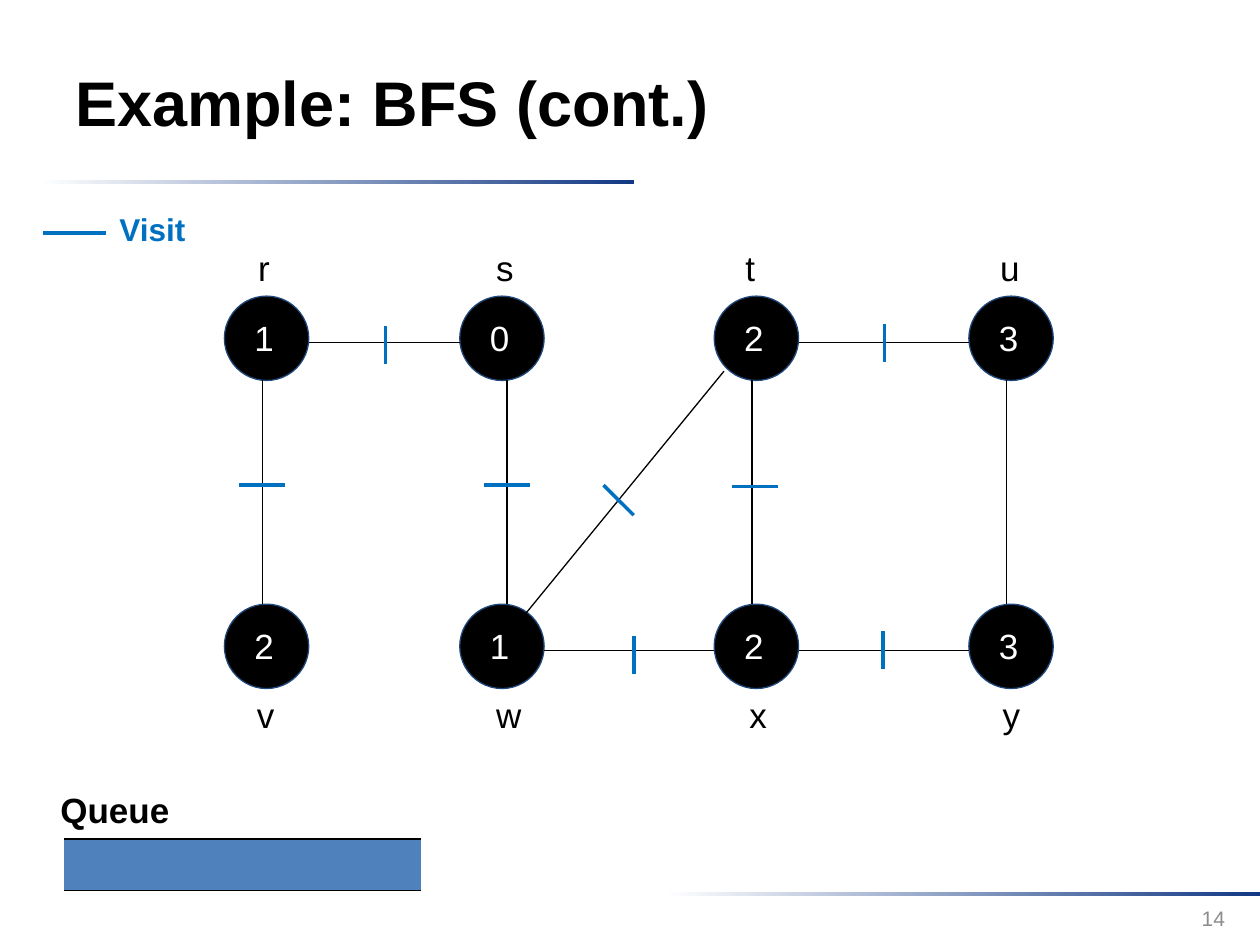
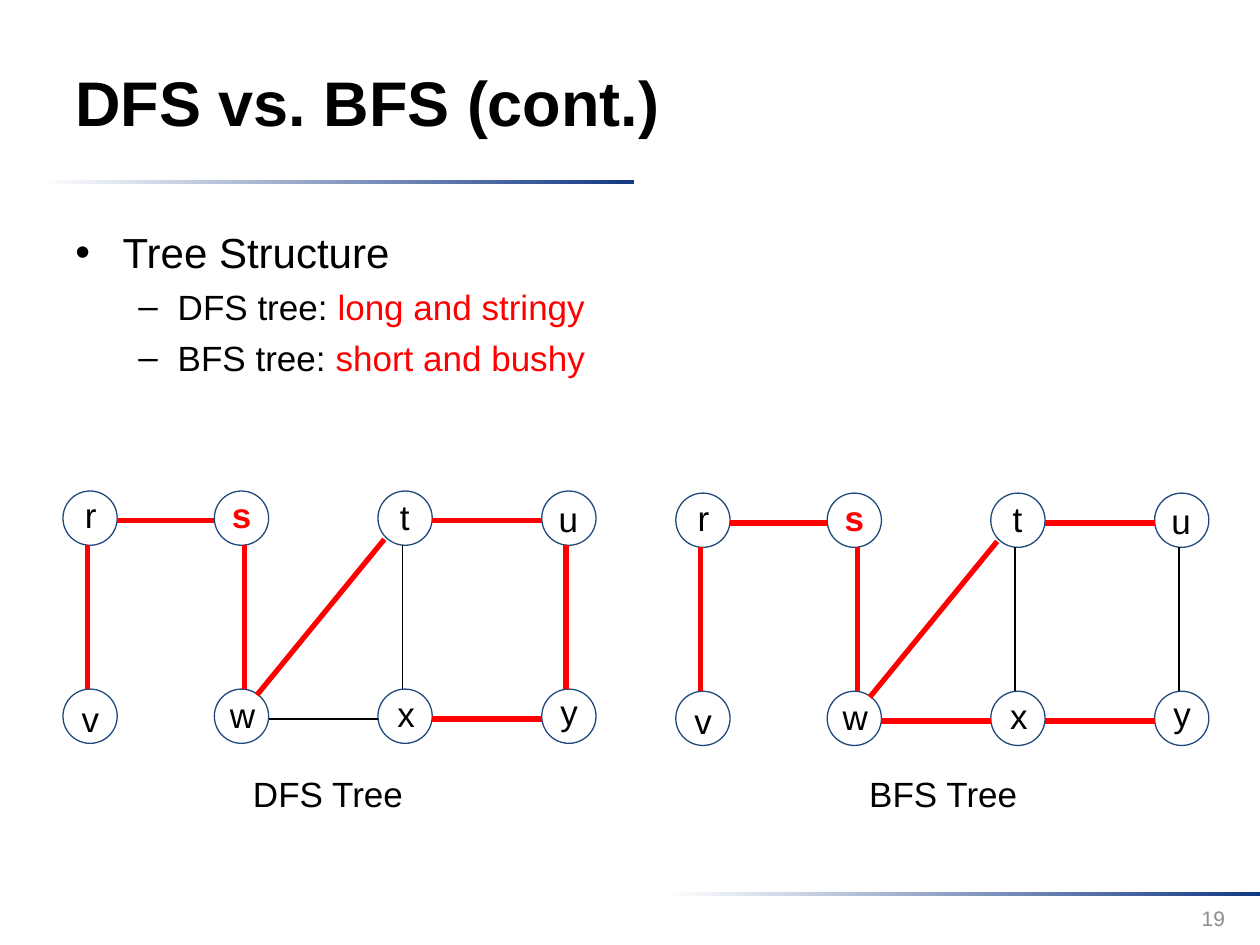
from lxml import etree
from pptx import Presentation
from pptx.dml.color import RGBColor
from pptx.enum.shapes import MSO_CONNECTOR, MSO_SHAPE
from pptx.enum.text import MSO_ANCHOR, PP_ALIGN
from pptx.oxml.ns import qn
from pptx.util import Pt

LINE, RECT, OVAL = MSO_CONNECTOR.STRAIGHT, MSO_SHAPE.RECTANGLE, MSO_SHAPE.OVAL
TOP, MIDDLE = MSO_ANCHOR.TOP, MSO_ANCHOR.MIDDLE
LEFT, RIGHT = PP_ALIGN.LEFT, PP_ALIGN.RIGHT

FONT = "Arial"
BLACK = RGBColor(0x00, 0x00, 0x00)
WHITE = RGBColor(0xFF, 0xFF, 0xFF)
RED = RGBColor(0xFF, 0x00, 0x00)
BLUE = RGBColor(0x00, 0x70, 0xC0)
NAVY = RGBColor(0x13, 0x39, 0x84)
OUTLINE = RGBColor(0x1F, 0x49, 0x7D)
QUEUE_FILL = RGBColor(0x4F, 0x81, 0xBD)
GRAY = RGBColor(0x8C, 0x8C, 0x8C)


def add_text(s, x, y, w, h, paras, size=20, bold=False, wrap=True,
             anchor=TOP, align=LEFT):
    """Each paragraph is a list of (text, colour) runs."""
    tf = s.shapes.add_textbox(Pt(x), Pt(y), Pt(w), Pt(h)).text_frame
    tf.word_wrap, tf.vertical_anchor = wrap, anchor
    for i, runs in enumerate(paras):
        p = tf.add_paragraph() if i else tf.paragraphs[0]
        p.alignment = align
        for text, color in runs:
            r = p.add_run()
            r.text = text
            r.font.name, r.font.size, r.font.bold = FONT, Pt(size), bold
            r.font.color.rgb = color
    return tf


def add_line(s, x1, y1, x2, y2, color, width):
    c = s.shapes.add_connector(LINE, Pt(x1), Pt(y1), Pt(x2), Pt(y2))
    c.line.color.rgb, c.line.width = color, Pt(width)
    etree.SubElement(c._element.spPr, qn("a:effectLst"))


prs = Presentation()
prs.slide_width, prs.slide_height = Pt(720), Pt(540)

# Shared frame: gradient rules, title, slide number
slides = []
for title, number in (("Example: BFS (cont.)", "14"), ("DFS vs. BFS (cont.)", "19")):
    s = prs.slides.add_slide(prs.slide_layouts[6])
    for x, y in ((22.3, 102.8), (380.2, 510)):
        bar = s.shapes.add_shape(RECT, Pt(x), Pt(y), Pt(339.8), Pt(2.2))
        bar.shadow.inherit = False
        bar.line.fill.background()
        bar.fill.gradient()
        bar.fill.gradient_angle = 0
        for stop, color in zip(bar.fill.gradient_stops, (WHITE, NAVY)):
            stop.color.rgb = color
    add_text(s, 36, 13, 556.6, 90, [[(title, BLACK)]], 36, True, anchor=MIDDLE)
    add_text(s, 539.3, 510.5, 167.8, 28.8, [[(number, GRAY)]], 12,
             anchor=MIDDLE, align=RIGHT)
    slides.append(s)
bfs, compare = slides

# Graph geometry at scale 1, relative to the top left node
D, DY = 31, 113.2
COLS = (0, 86.5, 180, 273.6)
NODES = {name: (COLS[i % 4], DY * (i // 4)) for i, name in enumerate("rstuvwxy")}
EDGES = {}
for a, b in ("rs", "tu", "wx", "xy"):
    (x1, y1), (x2, y2) = NODES[a], NODES[b]
    EDGES[a + b] = (x1 + D, y1 + 17, x2, y2 + 17)
for (a, b), dx in (("rv", 13.9), ("sw", 17.4), ("tx", 13.9), ("uy", 13.9)):
    (x1, y1), (x2, y2) = NODES[a], NODES[b]
    EDGES[a + b] = (x1 + dx, y1 + D, x2 + dx, y2)
EDGES["wt"] = (COLS[1] + 24.3, DY + 3.4, COLS[2] + 3.6, 27.6)

# Where a letter's box sits: inside its node, and beside it (x only)
INSIDE = {"r": (5.4, -1.9), "s": (2.9, -1.9), "t": (5.4, -1.2), "u": (2.5, 0),
          "v": (3.6, 1), "w": (1.8, -1), "x": (4, -1.8), "y": (3.6, -2.9)}
BESIDE = dict(zip("rstuvwxy", (12.2, 13.7, 10.8, 10.8, 11.5, 13.7, 13, 12.2)))
DISTANCE = dict(zip("rstuvwxy", "10232123"))

# Graphs: slide, left, top, scale, tree edges, shows distances
GRAPHS = (
    (bfs, 128.2, 169.2, 1.555, (), True),
    (compare, 36, 280.6, 1, ("rs", "rv", "sw", "wt", "tu", "uy", "xy"), False),
    (compare, 386.2, 281.8, 1, ("rs", "rv", "sw", "wt", "tu", "wx", "xy"), False),
)
for s, left, top, k, tree, distances in GRAPHS:
    for name, (nx, ny) in NODES.items():
        x, y = left + k * nx, top + k * ny
        node = s.shapes.add_shape(OVAL, Pt(x), Pt(y), Pt(k * D), Pt(k * D))
        node.shadow.inherit = False
        node.fill.solid()
        node.fill.fore_color.rgb = BLACK if distances else WHITE
        node.line.color.rgb, node.line.width = OUTLINE, Pt(0.75)
        if distances:
            add_text(s, x + 10.1, y + 7.9, 26.6, 31.7, [[(DISTANCE[name], WHITE)]])
            dy = 47.5 if ny else -31.7
            add_text(s, x + BESIDE[name], y + dy, 21.6, 31.7, [[(name, BLACK)]])
        else:
            dx, dy = INSIDE[name]
            root = name == "s"
            add_text(s, x + dx, y + dy, 17.3, 20.9,
                     [[(name, RED if root else BLACK)]], bold=root)
    for edge, (x1, y1, x2, y2) in EDGES.items():
        color, width = (RED, 3) if edge in tree else (BLACK, 0.75)
        add_line(s, left + k * x1, top + k * y1, left + k * x2, top + k * y2,
                 color, width)

# Visit marks: centre and half extent of each, then the legend
for x, y, dx, dy in (
    (220.3, 197.3, 0, 10.8), (505.4, 195.8, 0, 10.8),
    (362.2, 374.4, 0, 10.8), (504.7, 371.5, 0, 10.8),
    (149.8, 277.2, 13.1, 0), (289.8, 277.2, 13.1, 0),
    (431.3, 277.9, 13.1, 0), (353.5, 285.8, 8.6, 8.6),
    (42.5, 133.2, 18, 0),
):
    add_line(bfs, x - dx, y - dy, x + dx, y + dy, BLUE, 2)
add_text(bfs, 61.2, 116.6, 52.6, 28.8, [[("Visit", BLUE)]], 18, True, wrap=False)

# Queue: empty one-cell table, open at the sides
add_text(bfs, 27.4, 447.1, 77, 31.7, [[("Queue", BLACK)]], bold=True, wrap=False)
table = bfs.shapes.add_table(1, 1, Pt(36), Pt(479.5), Pt(205.2), Pt(29.5)).table
table.first_row = table.horz_banding = False
cell = table.cell(0, 0)
cell.fill.solid()
cell.fill.fore_color.rgb = QUEUE_FILL
tcPr = cell._tc.get_or_add_tcPr()
for i, (side, color) in enumerate((("lnR", WHITE), ("lnT", BLACK), ("lnB", BLACK))):
    ln = etree.Element(qn("a:" + side), w=str(Pt(1)))
    fill = etree.SubElement(ln, qn("a:solidFill"))
    etree.SubElement(fill, qn("a:srgbClr"), val=str(color))
    tcPr.insert(i, ln)

# Bulleted comparison
tf = add_text(compare, 36, 126, 648, 356.4, [
    [("Tree Structure", BLACK)],
    [("DFS tree: ", BLACK), ("long and stringy", RED)],
    [("BFS tree: ", BLACK), ("short and bushy", RED)],
])
for i, p in enumerate(tf.paragraphs):
    margin, hang, mark, size = (58.5, 22.5, "–", 20) if i else (27, 27, "•", 24)
    p.level, p.space_before = min(i, 1), Pt(5)
    for r in p.runs:
        r.font.size = Pt(size)
    pPr = p._p.get_or_add_pPr()
    pPr.set("marL", str(Pt(margin)))
    pPr.set("indent", str(-Pt(hang)))
    etree.SubElement(pPr, qn("a:buFont"), typeface=FONT)
    etree.SubElement(pPr, qn("a:buChar"), char=mark)

# Captions
for x, caption in ((137.5, "DFS Tree"), (489.6, "BFS Tree")):
    add_text(compare, x, 437.8, 100.4, 31.7, [[(caption, BLACK)]], wrap=False)

prs.save("out.pptx")
